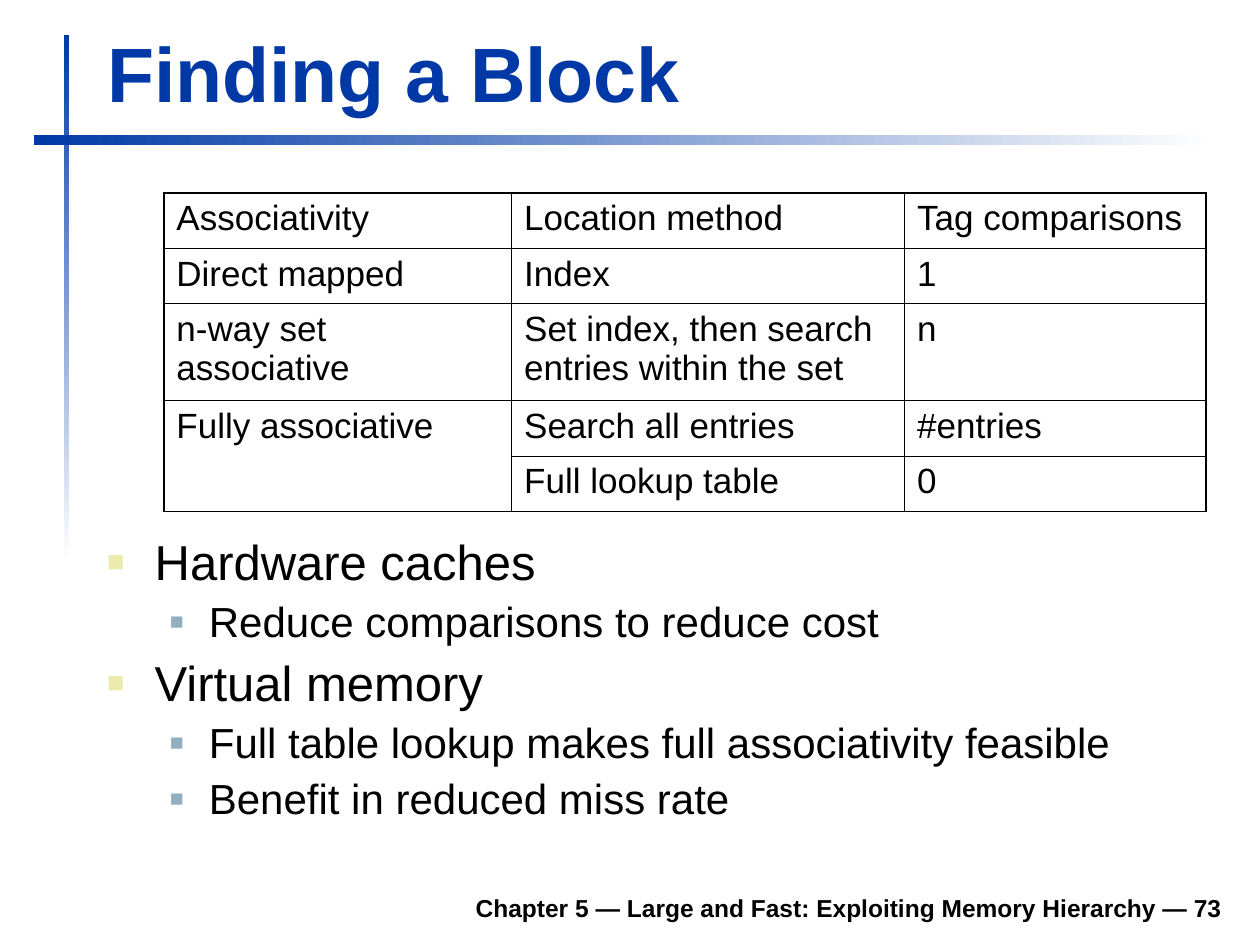
from dataclasses import dataclass

from lxml.etree import SubElement
from pptx import Presentation
from pptx.dml.color import RGBColor
from pptx.enum.shapes import MSO_SHAPE
from pptx.enum.text import MSO_ANCHOR, PP_ALIGN
from pptx.oxml.ns import qn
from pptx.slide import Slide
from pptx.table import Table
from pptx.text.text import TextFrame
from pptx.util import Inches, Pt

BLUE, BLACK, WHITE = "0039A6", "000000", "FFFFFF"


@dataclass
class Rule:
    left: float
    top: float
    width: float
    height: float
    angle: int


@dataclass
class Level:
    size: int
    margin: float
    indent: float
    before: int
    bullet_color: str
    bullet_percent: int


@dataclass
class Point:
    text: str
    level: int


RULES = [Rule(0.51, 0.28, 0.04, 4.17, 270), Rule(0.27, 1.07, 9.37, 0.08, 0)]
LEVELS = [
    Level(28, 0.38, -0.38, 7, "ECEAAC", 60),
    Level(24, 0.81, -0.31, 6, "91AFBF", 55),
]
POINTS = [
    Point("Hardware caches", 0),
    Point("Reduce comparisons to reduce cost", 1),
    Point("Virtual memory", 0),
    Point("Full table lookup makes full associativity feasible", 1),
    Point("Benefit in reduced miss rate", 1),
]
COLUMN_WIDTHS = [2.76, 3.12, 2.39]
ROW_HEIGHTS = [0.44, 0.44, 0.77, 0.44, 0.44]
ROWS = [
    ["Associativity", "Location method", "Tag comparisons"],
    ["Direct mapped", "Index", "1"],
    ["n-way set associative", "Set index, then search entries within the set", "n"],
    ["Fully associative", "Search all entries", "#entries"],
    ["", "Full lookup table", "0"],
]


def color(value: str) -> RGBColor:
    return RGBColor.from_string(value)


def format_font(font, size: int, fill: str = BLACK, bold: bool = False) -> None:
    for name, value in {"name": "Arial", "size": Pt(size), "bold": bold}.items():
        setattr(font, name, value)
    font.color.rgb = color(fill)


def format_frame(frame: TextFrame, anchor: MSO_ANCHOR) -> None:
    values = {
        "word_wrap": True,
        "vertical_anchor": anchor,
        "margin_left": Inches(0.1),
        "margin_right": Inches(0.1),
        "margin_top": Inches(0.05),
        "margin_bottom": Inches(0.05),
    }
    for name, value in values.items():
        setattr(frame, name, value)


def add_rule(page: Slide, rule: Rule) -> None:
    bar = page.shapes.add_shape(
        MSO_SHAPE.RECTANGLE,
        Inches(rule.left), Inches(rule.top), Inches(rule.width), Inches(rule.height),
    )
    bar.shadow.inherit = False
    bar.line.fill.background()
    bar.fill.gradient()
    bar.fill.gradient_angle = rule.angle
    for stop, value, position in zip(bar.fill.gradient_stops, (BLUE, WHITE), (0, 1)):
        stop.color.rgb = color(value)
        stop.position = position


def set_title(page: Slide, text: str) -> None:
    title = page.shapes.title
    place = {"left": 0.75, "top": 0.16, "width": 9.03, "height": 0.83}
    for name, value in place.items():
        setattr(title, name, Inches(value))
    format_frame(title.text_frame, MSO_ANCHOR.BOTTOM)
    para = title.text_frame.paragraphs[0]
    para.text = text
    para.alignment = PP_ALIGN.LEFT
    format_font(para.font, 44, BLUE, True)


def add_footer(page: Slide, text: str) -> None:
    box = page.shapes.add_textbox(Inches(1.85), Inches(6.98), Inches(7.95), Inches(0.39))
    format_frame(box.text_frame, MSO_ANCHOR.BOTTOM)
    para = box.text_frame.paragraphs[0]
    para.text = text
    para.alignment = PP_ALIGN.RIGHT
    format_font(para.font, 14, BLACK, True)


def add_bullet(para, level: Level) -> None:
    properties = para._p.get_or_add_pPr()
    properties.set("marL", str(Inches(level.margin)))
    properties.set("indent", str(Inches(level.indent)))
    bullet_color = SubElement(properties, qn("a:buClr"))
    SubElement(bullet_color, qn("a:srgbClr"), val=level.bullet_color)
    SubElement(properties, qn("a:buSzPct"), val=str(level.bullet_percent * 1000))
    SubElement(properties, qn("a:buFont"), typeface="Arial")
    SubElement(properties, qn("a:buChar"), char="■")


def add_points(page: Slide, points: list[Point]) -> None:
    box = page.shapes.add_textbox(Inches(0.75), Inches(4.22), Inches(9.04), Inches(2.6))
    frame = box.text_frame
    format_frame(frame, MSO_ANCHOR.TOP)
    for index, point in enumerate(points):
        level = LEVELS[point.level]
        para = frame.add_paragraph() if index else frame.paragraphs[0]
        para.text = point.text
        para.level = point.level
        add_bullet(para, level)
        para.line_spacing = 0.9
        para.space_before = Pt(level.before if index else 0)
        format_font(para.font, level.size)


def add_border(cell, side: str, width: float) -> None:
    properties = cell._tc.get_or_add_tcPr()
    line = SubElement(properties, qn(f"a:ln{side}"), w=str(Pt(width)))
    fill = SubElement(line, qn("a:solidFill"))
    SubElement(fill, qn("a:srgbClr"), val=BLACK)


def format_cell(table: Table, row: int, column: int) -> None:
    cell = table.cell(row, column)
    last_row, last_column = len(ROWS) - 1, len(COLUMN_WIDTHS) - 1
    widths = {
        "L": 1.08 if column == 0 else 0.45,
        "R": 1.08 if column == last_column else 0.45,
        "T": {0: 1.08, 1: 0.75}.get(row, 0.45),
        "B": {0: 0.75, last_row: 1.08}.get(row, 0.45),
    }
    if cell.is_merge_origin:
        widths["B"] = 1.08
    for side, width in widths.items():
        add_border(cell, side, width)
    cell.fill.background()
    para = cell.text_frame.paragraphs[0]
    para.text = ROWS[row][column]
    format_font(para.font, 20)


def add_method_table(page: Slide) -> None:
    table = page.shapes.add_table(
        len(ROWS), len(COLUMN_WIDTHS), Inches(1.3), Inches(1.53),
        Inches(sum(COLUMN_WIDTHS)), Inches(sum(ROW_HEIGHTS)),
    ).table
    table.first_row = table.horz_banding = False
    for column, width in zip(table.columns, COLUMN_WIDTHS):
        column.width = Inches(width)
    for row, height in zip(table.rows, ROW_HEIGHTS):
        row.height = Inches(height)
    table.cell(3, 0).merge(table.cell(4, 0))
    for row in range(len(ROWS)):
        for column in range(len(COLUMN_WIDTHS)):
            format_cell(table, row, column)


def main() -> None:
    deck = Presentation()
    deck.slide_width, deck.slide_height = Inches(10), Inches(7.5)
    page = deck.slides.add_slide(deck.slide_layouts[5])
    for rule in RULES:
        add_rule(page, rule)
    add_footer(page, "Chapter 5 — Large and Fast: Exploiting Memory Hierarchy — 73")
    set_title(page, "Finding a Block")
    add_points(page, POINTS)
    add_method_table(page)
    deck.save("out.pptx")


if __name__ == "__main__":
    main()
